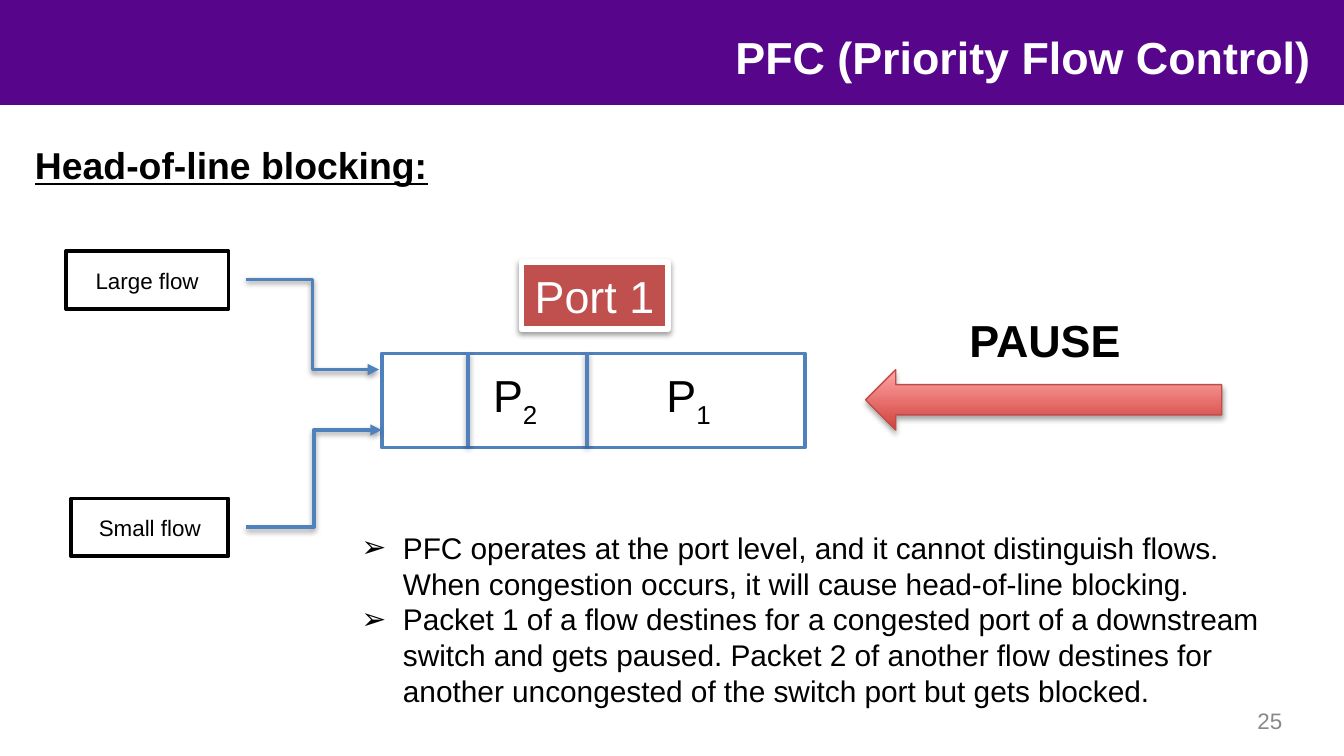
from lxml import etree
from pptx import Presentation
from pptx.dml.color import RGBColor
from pptx.enum.shapes import MSO_CONNECTOR, MSO_SHAPE
from pptx.enum.text import MSO_ANCHOR, PP_ALIGN
from pptx.oxml.ns import qn
from pptx.util import Inches, Pt

RECT, LEFT_ARROW = MSO_SHAPE.RECTANGLE, MSO_SHAPE.LEFT_ARROW
STRAIGHT, ELBOW = MSO_CONNECTOR.STRAIGHT, MSO_CONNECTOR.ELBOW
LEFT, CENTER, RIGHT = PP_ALIGN.LEFT, PP_ALIGN.CENTER, PP_ALIGN.RIGHT
TOP, MIDDLE = MSO_ANCHOR.TOP, MSO_ANCHOR.MIDDLE
rgb = RGBColor.from_string
PURPLE, BLUE, RED = "57068C", "4F81BD", "C0504D"
BLACK, WHITE, GRAY = "000000", "FFFFFF", "898989"

# Widescreen slide, 16:9
prs = Presentation()
prs.slide_width = Inches(10)
prs.slide_height = Inches(10 * 9 / 16)
slide = prs.slides.add_slide(prs.slide_layouts[6])
shapes = slide.shapes


def add_box(box, lines=(), size=12, color=BLACK, bold=False, align=LEFT, anchor=TOP,
            margin=None, fill=None, line=None, width=2):
    """Add a rectangle with a fill, or a text box without one."""
    place = [Inches(v) for v in box]
    if fill:
        shape = shapes.add_shape(RECT, *place)
        shape.shadow.inherit = False
        shape.fill.solid()
        shape.fill.fore_color.rgb = rgb(fill)
        if line:
            shape.line.color.rgb = rgb(line)
            shape.line.width = Pt(width)
        else:
            shape.line.fill.background()
    else:
        shape = shapes.add_textbox(*place)
    frame = shape.text_frame
    frame.word_wrap = True
    frame.vertical_anchor = anchor
    if margin is not None:
        frame.margin_left = frame.margin_right = Inches(margin)
        frame.margin_top = frame.margin_bottom = Inches(margin)
    if lines:
        frame.text = "\n".join(lines)
    for paragraph in frame.paragraphs:
        paragraph.alignment = align
        for run in paragraph.runs:
            run.font.name, run.font.size = "Arial", Pt(size)
            run.font.bold = bold
            run.font.color.rgb = rgb(color)
    return shape


def add_shadow(shape, alpha=38, blur=3.1, distance=1.6):
    """Give a shape or connector a soft shadow that falls downwards."""
    properties = shape._element.spPr
    effects = properties.find(qn("a:effectLst"))
    if effects is None:
        effects = etree.SubElement(properties, qn("a:effectLst"))
    shadow = etree.SubElement(effects, qn("a:outerShdw"), blurRad=str(Pt(blur)),
                              dist=str(Pt(distance)), dir="5400000", rotWithShape="0")
    shade = etree.SubElement(shadow, qn("a:srgbClr"), val=BLACK)
    etree.SubElement(shade, qn("a:alpha"), val=str(alpha * 1000))


# Header band, section heading, page number and title
add_box((0, 0, 10.01, 0.78), fill=PURPLE)
heading = add_box((0.26, 1.06, 9.39, 4.15), ["Head-of-line blocking:"], 20, bold=True,
                  margin=0, fill=WHITE)
heading.text_frame.paragraphs[0].runs[0].font.underline = True
add_box((7.31, 5.21, 2.33, 0.3), ["25"], 12, GRAY, align=RIGHT, anchor=MIDDLE)
add_box((2.25, 0.17, 7.5, 0.5), ["PFC (Priority Flow Control)"], 24, WHITE, True,
        RIGHT, MIDDLE, margin=0)

# Flow sources
for label, box in (("Large flow", (0.49, 1.87, 1.21, 0.43)),
                   ("Small flow", (0.53, 3.71, 1.17, 0.43))):
    add_box(box, [label], 12, align=CENTER, anchor=MIDDLE, fill=WHITE, line=BLACK)

# Port queue
add_box((2.84, 2.63, 3.15, 0.7), fill=WHITE, line=BLUE)

# Flow arrows into the queue and the dividers between packets
for kind, start, end in ((ELBOW, (1.83, 2.08), (2.82, 2.75)),
                         (ELBOW, (1.83, 3.92), (2.84, 3.2)),
                         (STRAIGHT, (3.48, 2.62), (3.48, 3.32)),
                         (STRAIGHT, (4.37, 2.62), (4.37, 3.32))):
    link = shapes.add_connector(kind, *[Inches(v) for v in start + end])
    link.line.color.rgb = rgb(BLUE)
    link.line.width = Pt(2)
    if kind == ELBOW:
        etree.SubElement(link.line._get_or_add_ln(), qn("a:tailEnd"), type="triangle")
    add_shadow(link)

# Pause arrow and its label
pause = shapes.add_shape(LEFT_ARROW, Inches(6.44), Inches(2.75), Inches(2.65), Inches(0.45))
pause.shadow.inherit = False
pause.fill.gradient()
pause.fill.gradient_angle = 90
for stop, color in zip(pause.fill.gradient_stops, ("D1403C", "FFA6A5")):
    stop.color.rgb = rgb(color)
pause.line.color.rgb = rgb("BF4C48")
pause.line.width = Pt(0.75)
add_shadow(pause, alpha=35, distance=1.8)
add_box((6.92, 2.28, 1.71, 0.5), ["PAUSE"], 24, bold=True, align=CENTER)

# Packets with subscript numbers
for number, left, width in (("1", 4.86, 0.88), ("2", 3.57, 0.61)):
    packet = add_box((left, 2.69, width, 0.5), ["P"], 24)
    subscript = packet.text_frame.paragraphs[0].add_run()
    subscript.text = number
    subscript.font.name, subscript.font.size = "Arial", Pt(24)
    subscript.font.color.rgb = rgb(BLACK)
    subscript.font._element.set("baseline", "-25000")

# Explanation
explanation = add_box((2.59, 3.89, 7, 1.45), [
    "PFC operates at the port level, and it cannot distinguish flows. "
    "When congestion occurs, it will cause head-of-line blocking.",
    "Packet 1 of a flow destines for a congested port of a downstream switch and gets paused. "
    "Packet 2 of another flow destines for another uncongested of the switch port "
    "but gets blocked.",
], 16)
for paragraph in explanation.text_frame.paragraphs:
    indents = paragraph._p.get_or_add_pPr()
    indents.set("marL", str(Inches(0.31)))
    indents.set("indent", str(Inches(-0.31)))
    etree.SubElement(indents, qn("a:buFont"), typeface="Arial")
    etree.SubElement(indents, qn("a:buChar"), char="➢")

# Port label
port = add_box((3.88, 1.95, 1.09, 0.5), ["Port 1"], 24, WHITE, fill=RED, line=WHITE, width=3)
port.text_frame.word_wrap = False
add_shadow(port)

prs.save("out.pptx")
